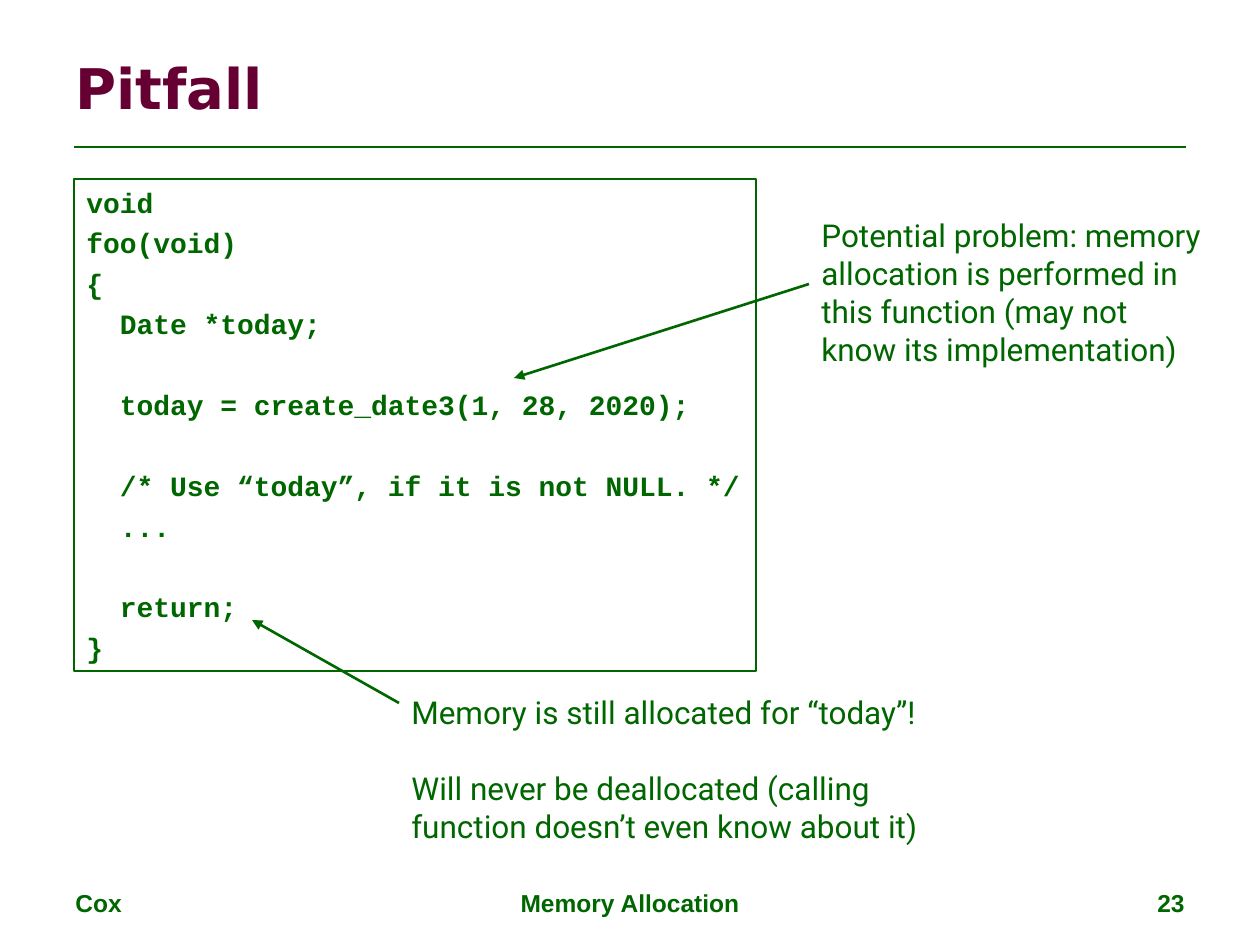
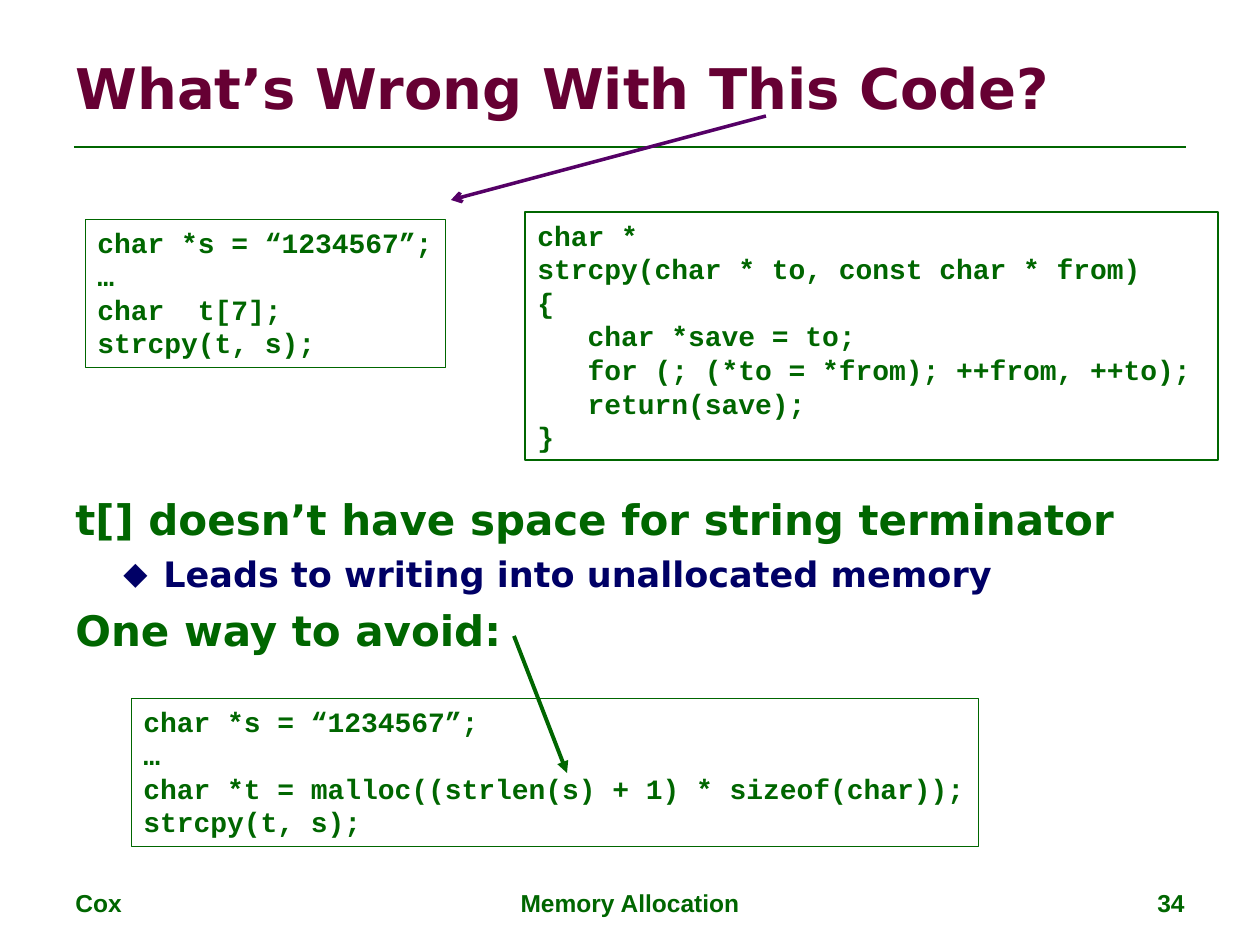
from lxml.etree import SubElement
from pptx import Presentation
from pptx.dml.color import RGBColor
from pptx.enum.shapes import MSO_CONNECTOR, MSO_SHAPE
from pptx.enum.text import MSO_ANCHOR, PP_ALIGN
from pptx.oxml.ns import qn
from pptx.util import Emu, Pt

GREEN = RGBColor(0x00, 0x66, 0x00)
MAROON = RGBColor(0x66, 0x00, 0x33)
NAVY = RGBColor(0x00, 0x00, 0x66)
PURPLE = RGBColor(0x55, 0x00, 0x66)

# Format keywords of each kind of text
TITLE = dict(font="DejaVu Sans", size=32, color=MAROON, bold=True)
TOPIC = dict(font="DejaVu Sans", size=24, bold=True, before=6, margin=24, indent=-24)
SUBTOPIC = dict(font="DejaVu Sans", size=20, color=NAVY, bold=True, before=5,
                margin=88, indent=-40, bullet="◆")
CODE = dict(font="Courier New", size=16, bold=True)
NOTE = dict(font="Roboto", size=18)
FOOTER = dict(font="Arial", size=14, bold=True)

FOOTER_TOP, FOOTER_HEIGHT = 882, 44
TITLE_BOX = (63, 38, 1134, 98)
RULE = ((74, 147), (1186, 147))

# Code boxes: position, line width, space before, line pitch (points), lines
# Notes: position and paragraphs; arrows: start, end, width, colour, head
SLIDES = [
    dict(
        title="Pitfall", number="23",
        codes=[((74, 179, 682, 492), 0.75, 4, 23, """void
foo(void)
{
  Date *today;

  today = create_date3(1, 28, 2020);

  /* Use “today”, if it is not NULL. */
  ...

  return;
}""")],
        notes=[
            ((399, 687, 557, 239), [
                "Memory is still allocated for “today”!",
                "Will never be deallocated (calling function doesn’t even know about it)"]),
            ((809, 210, 410, 202), [
                "Potential problem: memory allocation is performed in "
                "this function (may not know its implementation)"]),
        ],
        arrows=[((399, 703), (252, 620), 1.5, GREEN, "triangle"),
                ((809, 284), (514, 378), 1.5, GREEN, "triangle")],
    ),
    dict(
        title="What’s Wrong With This Code?", number="34",
        topics=((63, 487, 1134, 180), [
            ("t[] doesn’t have space for string terminator", TOPIC),
            ("Leads to writing into unallocated memory", SUBTOPIC),
            ("One way to avoid:", TOPIC)]),
        codes=[
            ((85, 219, 360, 148), 0.25, 0, 19, """char *s = “1234567”;
…
char  t[7];
strcpy(t, s);"""),
            ((131, 698, 847, 148), 0.25, 0, 19, """char *s = “1234567”;
…
char *t = malloc((strlen(s) + 1) * sizeof(char));
strcpy(t, s);"""),
            ((525, 212, 693, 248), 0.75, 0, 19, """char *
strcpy(char * to, const char * from)
{
   char *save = to;
   for (; (*to = *from); ++from, ++to);
   return(save);
}"""),
        ],
        arrows=[((514, 636), (567, 773), 2.25, GREEN, "triangle"),
                ((766, 116), (451, 200), 2, PURPLE, "arrow")],
    ),
]


def px(n):
    return Emu(round(n * 914400 / 126))


def add_text(tf, text, font, size, color=GREEN, bold=False, align=PP_ALIGN.LEFT,
             before=0, margin=0, indent=0, bullet=None):
    """Append one paragraph, using the empty first one if it is still free."""
    first = not tf.paragraphs[0].runs
    p = tf.paragraphs[0] if first else tf.add_paragraph()
    p.alignment = align
    p.space_before = Pt(0 if first else before)
    pPr = p._p.get_or_add_pPr()
    pPr.set("marL", str(px(margin)))
    pPr.set("indent", str(px(indent)))
    if bullet:
        clr = SubElement(pPr, qn("a:buClr"))
        SubElement(clr, qn("a:srgbClr"), val=str(color))
        SubElement(pPr, qn("a:buSzPct"), val="90000")
        SubElement(pPr, qn("a:buFont"), typeface=font)
        SubElement(pPr, qn("a:buChar"), char=bullet)
    r = p.add_run()
    r.text = text
    r.font.name, r.font.size, r.font.bold = font, Pt(size), bold
    r.font.color.rgb = color


def add_box(s, box):
    tf = s.shapes.add_textbox(*map(px, box)).text_frame
    tf.word_wrap = True
    return tf


def add_line(s, start, end, width, color=GREEN, head=None):
    line = s.shapes.add_connector(MSO_CONNECTOR.STRAIGHT, *map(px, start + end))
    line.line.width = Pt(width)
    line.line.color.rgb = color
    if head:
        SubElement(line.line._get_or_add_ln(), qn("a:tailEnd"), type=head)
    SubElement(line._element.spPr, qn("a:effectLst"))


def add_code(s, box, width, before, pitch, code):
    """Draw a framed listing; an empty line becomes space above the next one."""
    sp = s.shapes.add_shape(MSO_SHAPE.RECTANGLE, *map(px, box))
    sp.shadow.inherit = False
    sp.fill.background()
    sp.line.color.rgb = GREEN
    sp.line.width = Pt(width)
    tf = sp.text_frame
    tf.word_wrap = before > 0
    tf.vertical_anchor = MSO_ANCHOR.TOP
    gap = before
    for line in code.split("\n"):
        if line:
            add_text(tf, line, before=gap, **CODE)
            gap = before
        else:
            gap += pitch


def add_frame(s, title, number):
    """Draw what every slide shares: rule, footer and title."""
    add_line(s, *RULE, 1.5)
    for left, width, text, align in [(63, 294, "Cox", PP_ALIGN.LEFT),
                                     (430, 400, "Memory Allocation", PP_ALIGN.CENTER),
                                     (903, 294, number, PP_ALIGN.RIGHT)]:
        tf = add_box(s, (left, FOOTER_TOP, width, FOOTER_HEIGHT))
        add_text(tf, text, align=align, **FOOTER)
    tf = add_box(s, TITLE_BOX)
    tf.vertical_anchor = MSO_ANCHOR.MIDDLE
    add_text(tf, title, **TITLE)


def main():
    prs = Presentation()
    prs.slide_width, prs.slide_height = px(1260), px(945)
    for content in SLIDES:
        s = prs.slides.add_slide(prs.slide_layouts[6])
        add_frame(s, content["title"], content["number"])
        if "topics" in content:
            box, topics = content["topics"]
            tf = add_box(s, box)
            for text, style in topics:
                add_text(tf, text, **style)
        for code in content["codes"]:
            add_code(s, *code)
        for box, paragraphs in content.get("notes", []):
            tf = add_box(s, box)
            for text in paragraphs:
                add_text(tf, text, before=22, **NOTE)
        for arrow in content["arrows"]:
            add_line(s, *arrow)
    prs.save("out.pptx")


if __name__ == "__main__":
    main()
